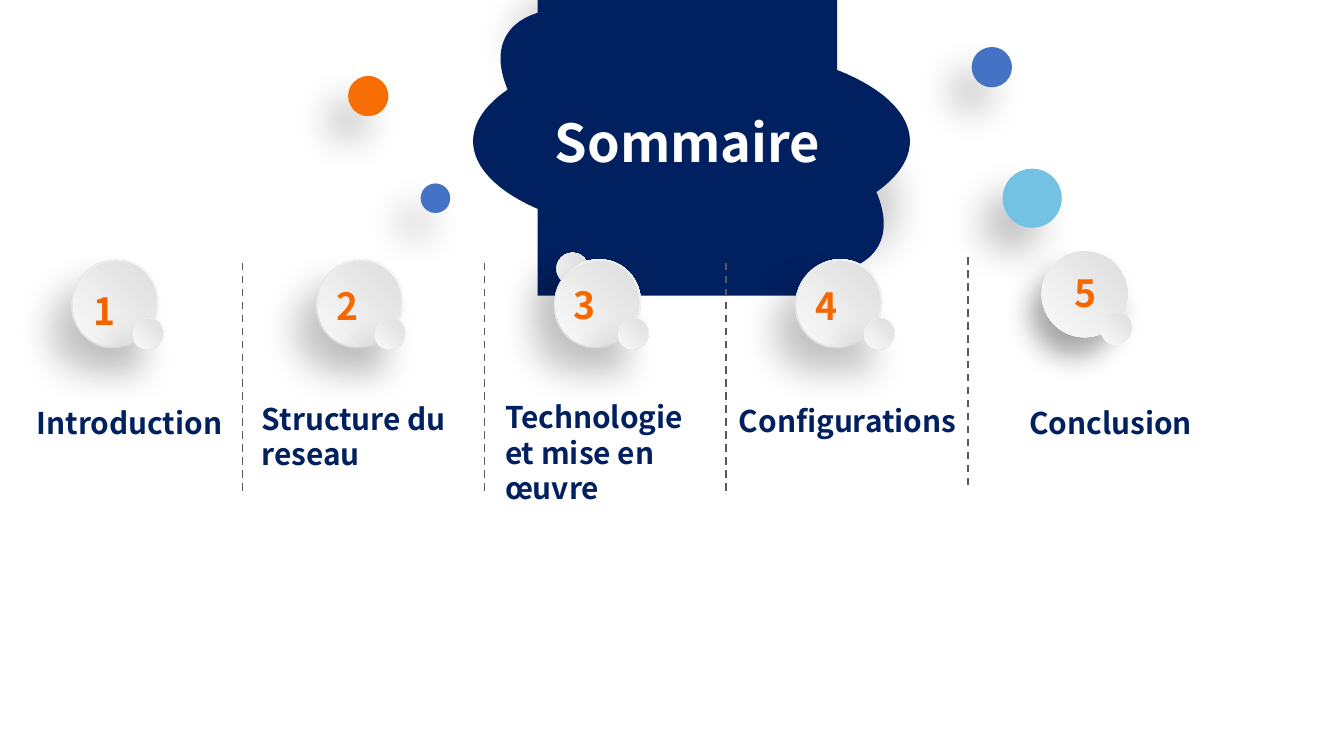
from collections import namedtuple
from pptx import Presentation, util as u
from pptx.dml.color import RGBColor
from pptx.enum import dml, shapes, text
from pptx.oxml import parse_xml
from pptx.oxml.ns import nsdecls

FONT = "Noto Sans CJK SC"
NAVY, ORANGE, BLUE, SKY = "002060", "F76700", "4472C4", "73C2E3"
RIM, FACE = ("FFFFFF", "D9D9D9"), ("D9D9D9", "FEFEFE")
SOFT, NEAR, FAINT = (24, 20, 17, 130), (35, 15, 12, 121), (20, 20, 12, 310)
TILT = 29.5
COLS, ROWS = 100, 56.25
CELL = u.Inches(0.1)

Box = namedtuple("Box", "x y w h")
Step = namedtuple("Step", "label ball num bead note color", defaults=(ORANGE,))

STEPS = [
    Step("Introduction", 5.3, (5.9, 1.75, 6.6), 9.8, (1.7, 10.4, 16.9, 3.7), "F16500"),
    Step("Structure du reseau", 5.5, (6, 1.4, 6.1), 9.8, (0.45, 10.1, 19.9, 6.4)),
    Step("Technologie et mise en œuvre", 5.2, (5.65, 1.3, 6.6), 9.9, (0.55, 9.95, 17.7, 9.1)),
    Step("Configurations", 5.15, (5.65, 1.4, 5.4), 10.2, (-0.05, 10.25, 19.3, 3.7)),
    Step("Conclusion", 5.45, (6.95, 0.8, 5.7), 9.85, (3.55, 10.8, 17.8, 3.7)),
]
DOTS = [
    (Box(25.9, 5.65, 3, 3), "F66E04"),
    (Box(72.3, 3.5, 3, 3), BLUE),
    (Box(74.6, 12.55, 4.4, 4.4), SKY),
    (Box(31.3, 13.65, 2.2, 2.2), BLUE),
]


def rgb(value):
    return RGBColor.from_string(value)


def emu(box):
    return [round(v * CELL) for v in box]


def inside(box, x, y, w, h):
    return Box(box.x + x, box.y + y, w, h)


def assign(obj, values):
    for name, value in values.items():
        setattr(obj, name, value)


def shade(sp, start, end):
    sp.fill.background()
    stops = "".join(
        f'<a:gs pos="{pos}"><a:srgbClr val="{c}"/></a:gs>'
        for pos, c in ((0, start), (100000, end))
    )
    grad = parse_xml(
        f'<a:gradFill {nsdecls("a")} rotWithShape="1"><a:gsLst>{stops}</a:gsLst>'
        '<a:path path="circle"><a:fillToRect l="100000" b="100000"/></a:path></a:gradFill>'
    )
    props = sp._element.spPr
    props.replace(props.find(".//{*}noFill"), grad)


def cast(sp, alpha, blur, dist, angle):
    effects = sp._element.spPr.find("{*}effectLst")
    effects.append(parse_xml(
        f'<a:outerShdw {nsdecls("a")} blurRad="{u.Pt(blur)}" dist="{u.Pt(dist)}" '
        f'dir="{angle * 60000}" algn="tr" rotWithShape="0"><a:srgbClr val="000000">'
        f'<a:alpha val="{alpha * 1000}"/></a:srgbClr></a:outerShdw>'
    ))


def ellipse(s, box, paint, shadow=None, tilt=TILT, kind=shapes.MSO_SHAPE.OVAL):
    sp = s.shapes.add_shape(kind, *emu(box))
    sp.shadow.inherit = False
    sp.rotation = tilt
    if isinstance(paint, str):
        sp.fill.solid()
        sp.fill.fore_color.rgb = rgb(paint)
    else:
        shade(sp, *paint)
    sp.line.fill.background()
    if shadow:
        cast(sp, *shadow)


def layered(s, box, rim, face, shadow=SOFT, share=0.96):
    ellipse(s, box, rim, shadow)
    ellipse(s, inside(box, box.w * (1 - share) / 2, box.h * (1 - share) / 2,
                      box.w * share, box.h * share), face)


def write(sp, words, size, color, align=text.PP_ALIGN.LEFT):
    tf = sp.text_frame
    assign(tf, {"word_wrap": True, "auto_size": text.MSO_AUTO_SIZE.SHAPE_TO_FIT_TEXT})
    p = tf.paragraphs[0]
    p.alignment = align
    r = p.add_run()
    r.text = words
    assign(r.font, {"name": FONT, "size": u.Pt(size), "bold": True})
    r.font.color.rgb = rgb(color)


def textbox(s, box, *style):
    write(s.shapes.add_textbox(*emu(box)), *style)


def divider(s, box):
    x, top, _, h = emu(box)
    line = s.shapes.add_connector(shapes.MSO_CONNECTOR.STRAIGHT, x, top + h, x, top)
    assign(line.line, {"width": u.Pt(1), "dash_style": dml.MSO_LINE.DASH})
    line.line.color.rgb = rgb("595959")
    line._element.spPr.append(parse_xml(f'<a:effectLst {nsdecls("a")}/>'))


def header(s, box):
    layered(s, inside(box, 0.4, 0.15, 31.8, 13.9), NAVY, NAVY, FAINT)
    ellipse(s, box, NAVY, tilt=0, kind=shapes.MSO_SHAPE.FLOWCHART_CONNECTOR)
    title = s.shapes.title
    s.shapes._spTree.append(title._element)
    place = emu(inside(box, 4.8, 4.25, 22.3, 5.7))
    assign(title, dict(zip(("left", "top", "width", "height"), place)))
    title.fill.solid()
    title.fill.fore_color.rgb = rgb(NAVY)
    title.text_frame.vertical_anchor = text.MSO_ANCHOR.MIDDLE
    write(title, "Sommaire", 28, "FFFFFF", text.PP_ALIGN.CENTER)


def step(s, box, number, item, first, last):
    if not first:
        divider(s, box)
    bead = inside(box, item.bead, 4.45, 2.3, 2.4)
    if last:
        ellipse(s, inside(box, item.ball, -0.1, 6.4, 6.4), FACE, NEAR)
        ellipse(s, bead, FACE)
    else:
        layered(s, inside(box, item.ball, 0.05, 6.4, 6.7), RIM, FACE)
        layered(s, bead, RIM, FACE)
    textbox(s, inside(box, *item.num, 4.4), str(number), 20, item.color)
    textbox(s, inside(box, *item.note), item.label, 16, NAVY)


def main():
    prs = Presentation()
    assign(prs, {"slide_width": round(COLS * CELL), "slide_height": round(ROWS * CELL)})
    s = prs.slides.add_slide(prs.slide_layouts[5])
    header(s, Box(35.2, 3.4, 32.5, 14.2))
    for box, color in DOTS:
        layered(s, box, color, color)
    layered(s, Box(41.4, 18.8, 2.4, 2.4), RIM, FACE)
    pitch = 18
    for i, item in enumerate(STEPS):
        last = i == len(STEPS) - 1
        top = 18.8 if last else 19.2
        step(s, Box(0.05 + i * pitch, top, pitch, 17.3), i + 1, item, i == 0, last)
    prs.save("out.pptx")


if __name__ == "__main__":
    main()
